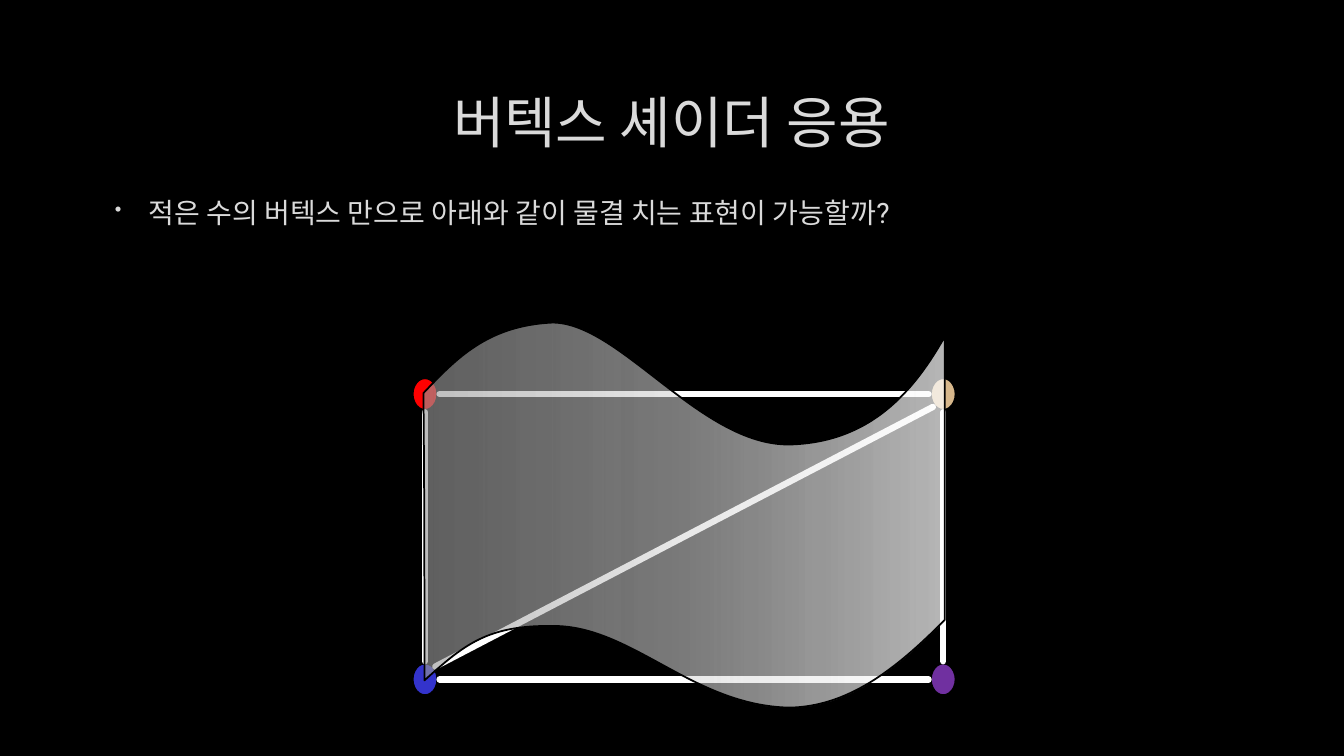
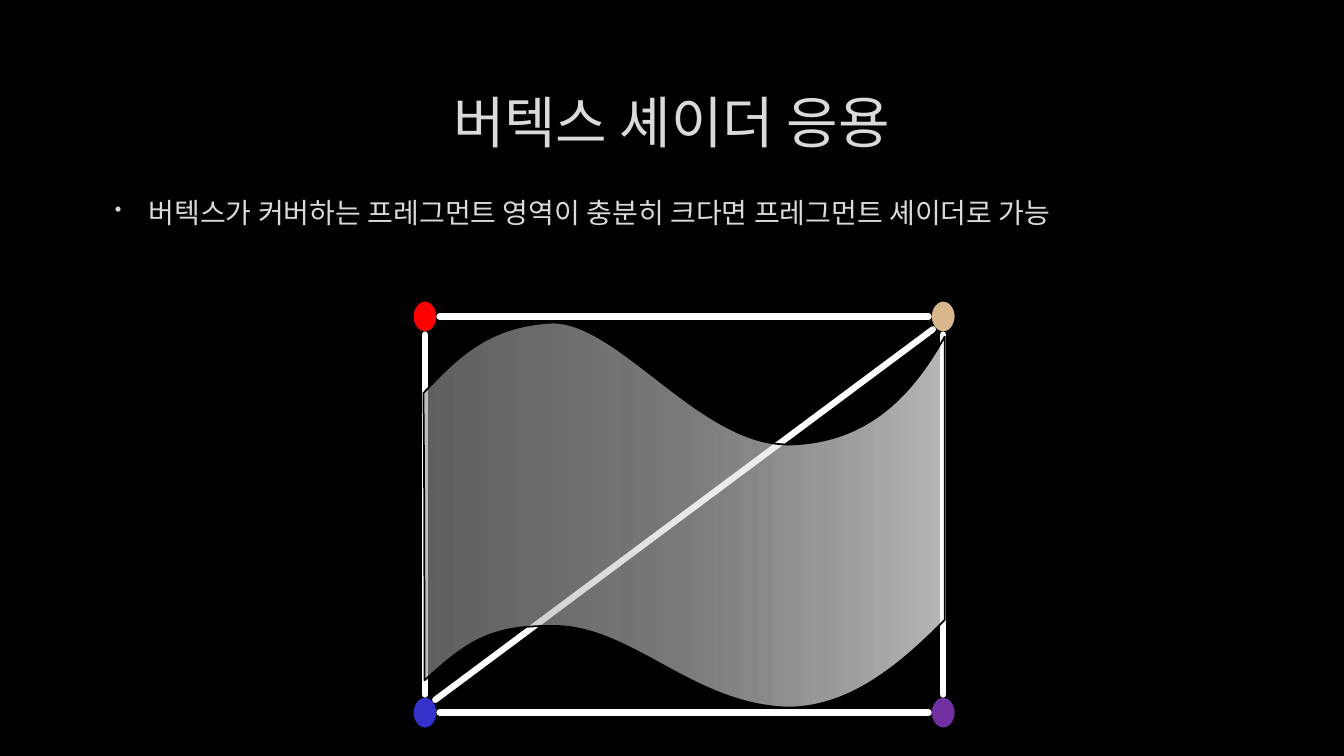
"""Builds two dark slides on bending a quad with shaders."""
from dataclasses import dataclass
from lxml.etree import Element as Node, SubElement as Sub
from pptx import Presentation as Deck
from pptx.dml.color import RGBColor as Color
from pptx.enum.shapes import MSO_CONNECTOR as Link, MSO_SHAPE as Form
from pptx.enum.text import MSO_ANCHOR as Anchor, PP_ALIGN as Align
from pptx.oxml.ns import qn
from pptx.util import Inches, Pt


@dataclass(frozen=True)
class Theme:
    back: str = "000000"
    text: str = "DADADA"
    edge: str = "FFFFFF"
    dots: tuple = ("FF0000", "3333CC", "D7B78B", "7030A0")
    fade: tuple = ((0, "979797", 62), (50, "D7D7D7", 56), (100, "FFFFFF", 71))
    font: str = "Roboto"
    head: int = 40
    body: int = 20
    thick: float = 4.5
    thin: float = 1.25


TITLE = "버텍스 셰이더 응용"
PAGES = (
    ("적은 수의 버텍스 만으로 아래와 같이 물결 치는 표현이 가능할까?", 3.91, 6.74),
    ("버텍스가 커버하는 프레그먼트 영역이 충분히 크다면 프레그먼트 셰이더로 가능", 3.14, 7.07),
)
DOT_W, DOT_H = 0.29, 0.36
LEFT, RIGHT = 4.07 + DOT_W / 2, 9.21 + DOT_W / 2
START = (4.2, 3.9)
CURVES = (
    ((4.53, 3.55), (4.84, 3.23), (5.48, 3.2)),
    ((6.15, 3.2), (6.95, 4.42), (7.83, 4.41)),
    ((8.63, 4.39), (9.06, 3.89), (9.37, 3.34)),
    ((9.37, 6.15),),
    ((8.86, 6.67), (8.39, 7.01), (7.83, 7.02)),
    ((6.87, 7), (6.27, 6.21), (5.49, 6.21)),
    ((4.84, 6.2), (4.61, 6.39), (4.21, 6.75)),
    ((4.21, 5.8), (4.21, 4.85), START),
)


def put(item, form):
    for name, value in form.items():
        setattr(item, name, value)


class Stage:
    def __init__(self, theme):
        self.theme = theme
        self.deck = Deck()
        put(self.deck, {"slide_width": Inches(13.33), "slide_height": Inches(7.5)})

    def page(self):
        self.slide = self.deck.slides.add_slide(self.deck.slide_layouts[6])
        self.paint(self.slide.background.fill, self.theme.back)

    def paint(self, fill, tint):
        fill.solid()
        fill.fore_color.rgb = Color.from_string(tint)

    def stroke(self, item, tint, width):
        self.paint(item.line.fill, tint)
        item.line.width = Pt(width)

    def text(self, words, area, size, frame, form):
        box = self.slide.shapes.add_textbox(*map(Inches, area)).text_frame
        put(box, {"word_wrap": True, **frame})
        para = box.paragraphs[0]
        put(para, form)
        run = para.add_run()
        run.text = words
        put(run.font, {"size": Pt(size), "name": self.theme.font})
        self.paint(run.font.fill, self.theme.text)
        return para

    def title(self, words):
        self.text(words, (1, 0.67, 11.32, 1.06), self.theme.head,
                  {"vertical_anchor": Anchor.MIDDLE}, {"alignment": Align.CENTER})

    def point(self, words):
        para = self.text(words, (1, 1.89, 11.32, 4.44), self.theme.body, {},
                         {"space_before": Pt(4), "space_after": Pt(6)})
        props = para._p.get_or_add_pPr()
        props.set("marL", str(Inches(3 / 8)))
        props.set("indent", str(Inches(-1 / 3)))
        Sub(Sub(props, qn("a:buClr")), qn("a:srgbClr"), val=self.theme.text)
        Sub(props, qn("a:buSzPct"), val="70000")
        Sub(props, qn("a:buChar"), char="•")

    def dot(self, x, y, tint):
        area = (x - DOT_W / 2, y - DOT_H / 2, DOT_W, DOT_H)
        dot = self.slide.shapes.add_shape(Form.OVAL, *map(Inches, area))
        dot.shadow.inherit = False
        self.paint(dot.fill, tint)
        self.stroke(dot, self.theme.back, self.theme.thick)

    def edge(self, *ends):
        edge = self.slide.shapes.add_connector(Link.STRAIGHT, *map(Inches, ends))
        self.stroke(edge, self.theme.edge, self.theme.thick)
        props = edge._element.spPr
        props.find(qn("a:ln")).set("cap", "rnd")
        Sub(props, qn("a:effectLst"))

    def quad(self, top, low):
        spots = [(x, y) for x in (LEFT, RIGHT) for y in (top, low)]
        for (x, y), tint in zip(spots, self.theme.dots):
            self.dot(x, y, tint)
        dx, dy = DOT_W / 2, DOT_H / 2
        slant = 0.5 ** 0.5
        self.edge(LEFT + dx, top, RIGHT - dx, top)
        for x in (LEFT, RIGHT):
            self.edge(x, top + dy, x, low - dy)
        self.edge(LEFT + dx, low, RIGHT - dx, low)
        self.edge(RIGHT - dx * slant, top + dy * slant,
                  LEFT + dx * slant, low - dy * slant)

    def bend(self, wave):
        lines = wave._element.spPr.findall(".//" + qn("a:lnTo"))
        for line, (*pulls, _) in zip(lines, CURVES):
            if not pulls:
                continue
            curve = Node(qn("a:cubicBezTo"))
            for x, y in pulls:
                Sub(curve, qn("a:pt"), x=str(Inches(x) - wave.left),
                    y=str(Inches(y) - wave.top))
            curve.append(line[0])
            line.getparent().replace(line, curve)

    def wave(self):
        pen = self.slide.shapes.build_freeform(*map(Inches, START))
        ends = [tuple(map(Inches, curve[-1])) for curve in CURVES]
        pen.add_line_segments(ends, close=True)
        wave = pen.convert_to_shape()
        self.bend(wave)
        wave.shadow.inherit = False
        wave.fill.gradient()
        wave.fill.gradient_angle = 0
        stops = wave._element.spPr.find(".//" + qn("a:gsLst"))
        stops.clear()
        for place, tint, alpha in self.theme.fade:
            stop = Sub(stops, qn("a:gs"), pos=str(place * 1000))
            tone = Sub(stop, qn("a:srgbClr"), val=tint)
            Sub(tone, qn("a:alpha"), val=str(alpha * 1000))
        self.stroke(wave, self.theme.back, self.theme.thin)


def main():
    stage = Stage(Theme())
    for words, top, low in PAGES:
        stage.page()
        stage.title(TITLE)
        stage.point(words)
        stage.quad(top, low)
        stage.wave()
    stage.deck.save("out.pptx")


if __name__ == "__main__":
    main()
